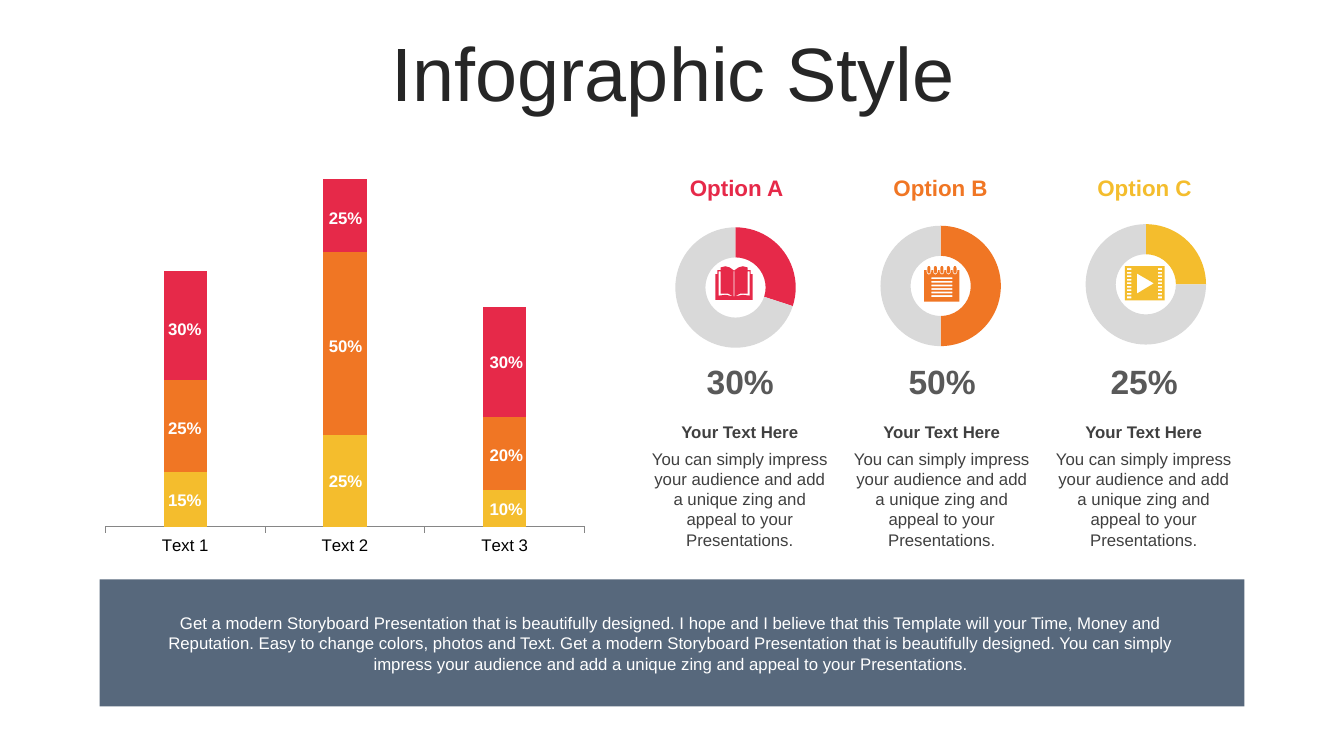
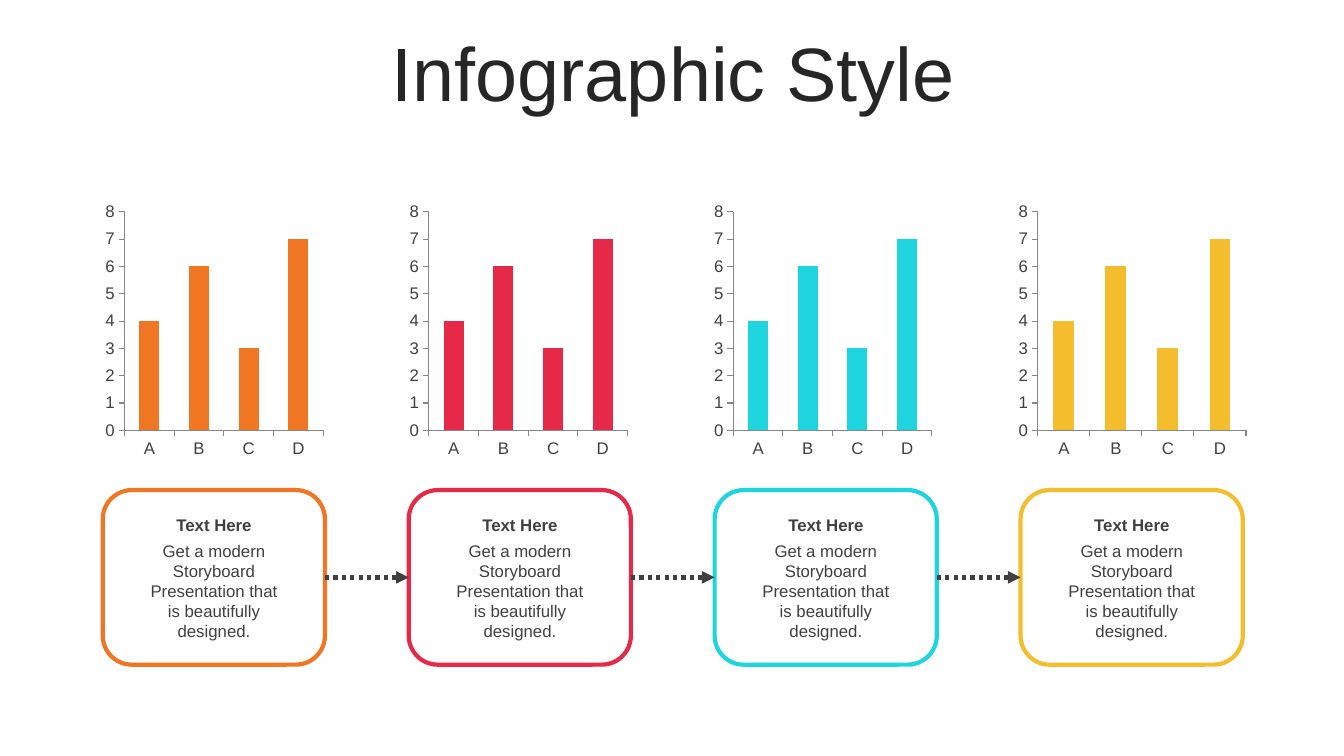
from lxml.etree import SubElement
from pptx import Presentation
from pptx.chart.data import CategoryChartData as Data
from pptx.dml.color import RGBColor
from pptx.enum.chart import XL_CHART_TYPE as Kind, XL_TICK_MARK as Tick
from pptx.enum.dml import MSO_LINE as Dash
from pptx.enum.shapes import MSO_CONNECTOR as Link, MSO_SHAPE as Form
from pptx.enum.text import MSO_ANCHOR as Anchor, PP_ALIGN as Align
from pptx.oxml.ns import qn
from pptx.util import Cm, Pt

FONT = "Arial"
RED, ORANGE, GOLD, CYAN = "E62949", "F07624", "F4BD2D", "1ED4DE"
WHITE, BLACK, DARK, INK, MID = "FFFFFF", "000000", "262626", "404040", "595959"
PALE, SLATE, AXIS = "D9D9D9", "57687C", "868686"
paint = RGBColor.from_string


def label(slide, text, left, top, width, height, size=12, color=INK, bold=False, anchor=Anchor.TOP):
    frame = slide.shapes.add_textbox(Cm(left), Cm(top), Cm(width), Cm(height)).text_frame
    frame.word_wrap = True
    frame.vertical_anchor = anchor
    frame.text = text
    para = frame.paragraphs[0]
    para.alignment = Align.CENTER
    font = para.runs[0].font
    font.name, font.size, font.bold = FONT, Pt(size), bold
    font.color.rgb = paint(color)
    return para


def graph(slide, kind, left, top, width, height, cats, rows, colors, ink=BLACK, plot=None):
    data = Data()
    data.categories = cats
    for n, row in enumerate(rows, 1):
        data.add_series(f"Series {n}", row)
    frame = slide.shapes.add_chart(kind, Cm(left), Cm(top), Cm(width), Cm(height), data)
    chart = frame.chart
    chart.has_legend = chart.has_title = False
    chart.font.name, chart.font.size = FONT, Pt(12)
    chart.font.color.rgb = paint(ink)
    series = chart.plots[0].series
    parts = series[0].points if kind == Kind.DOUGHNUT else series
    for n, color in enumerate(colors):
        fill = parts[n].format.fill
        fill.solid()
        fill.fore_color.rgb = paint(color)
    if kind == Kind.COLUMN_STACKED:
        chart.plots[0].vary_by_categories = False
        chart.plots[0].overlap = 100
        chart.value_axis.has_major_gridlines = False
        for axis in (chart.category_axis, chart.value_axis):
            axis.major_tick_mark, axis.minor_tick_mark = Tick.OUTSIDE, Tick.NONE
            axis.format.line.color.rgb = paint(AXIS)
            axis.format.line.width = Pt(0.75)
    if plot:
        area = chart.element.find(".//" + qn("c:plotArea"))
        for old in area.findall(qn("c:layout")):
            area.remove(old)
        outer = SubElement(area, qn("c:layout"))
        area.insert(0, outer)
        inner = SubElement(outer, qn("c:manualLayout"))
        SubElement(inner, qn("c:layoutTarget")).set("val", "inner")
        for tag in ("xMode", "yMode"):
            SubElement(inner, qn("c:" + tag)).set("val", "edge")
        for tag, part in zip("xywh", plot):
            SubElement(inner, qn("c:" + tag)).set("val", str(part))
    return chart


deck = Presentation()
deck.slide_width, deck.slide_height = Cm(33.87), Cm(19.05)
first, second = [deck.slides.add_slide(deck.slide_layouts[6]) for _ in range(2)]
for slide in (first, second):
    title = label(slide, "Infographic Style", 0.89, 0.94, 32.16, 2, 54, DARK, anchor=Anchor.MIDDLE)
    title.line_spacing = 0.9

stack = graph(first, Kind.COLUMN_STACKED, 2.13, 4.06, 13.13, 10.24,
              ["Text 1", "Text 2", "Text 3"],
              [(30, 50, 20), (50, 100, 40), (60, 40, 60)],
              [GOLD, ORANGE, RED], plot=(0.04, 0, 0.92, 0.9))
stack.plots[0].gap_width = 270
stack.value_axis.minimum_scale, stack.value_axis.maximum_scale = 0, 200
stack.value_axis.visible = False

shares = [
    [("30%", 7.9), ("25%", 10.41), ("15%", 12.22)],
    [("25%", 5.11), ("50%", 8.33), ("25%", 11.73)],
    [("30%", 8.74), ("20%", 11.07), ("10%", 12.45)],
]
for n, bar in enumerate(shares):
    for text, top in bar:
        label(first, text, 3.86 + 4.05 * n, top, 1.6, 0.76, color=WHITE, bold=True)

half = [(4.7, 1.1), (3.6, 0.3), (2.5, 0), (1.3, 0.3), (1.3, 1), (0.5, 1), (0.5, 2), (0, 2), (0, 8.5)]
strip = [(4.5, 7.6), (3.2, 6.9), (1.3, 6.9), (1.3, 1.3), (0.8, 1.3), (0.8, 7.4), (2.6, 7.2)]
book = [half + [(9.4 - x, y) for x, y in reversed(half)],
        strip, [(9.4 - x, y) for x, y in strip],
        [(4.6, 1.2), (4.8, 1.2), (4.8, 7.6), (4.6, 7.6)]]

rings = [1.2 + 1.64 * n for n in range(5)]
notch = [(-0.6, 1), (-0.6, 1.4), (-0.4, 1.9), (0, 2.1), (0.4, 1.9), (0.6, 1.4), (0.6, 1)]
loop = [(-0.2, 0), (0.2, 0), (0.4, 0.4), (0.4, 1.4), (0.2, 1.8), (-0.2, 1.8), (-0.4, 1.4), (-0.4, 0.4)]
pad = [[(0, 1)] + [(mid + x, y) for mid in rings for x, y in notch] + [(8.9, 1), (8.9, 8.9), (0, 8.9)]]
pad += [[(mid + x, y) for x, y in loop] for mid in rings]
lines = [(1.8, 2.8 + 0.9 * n, 5.3, 0.45) for n in range(6)]

film = [[(3, 1.8), (3, 6.9), (7.3, 4.3)]]
holes = [(x, 0.5 + 0.89 * n, 1.1, 0.45) for n in range(9) for x in (0.5, 8.3)]
for icon, boxes in ((pad, lines), (film, [(0, 0, 10, 8.6)] + holes)):
    icon += [[(x, y), (x + w, y), (x + w, y + h), (x, y + h)] for x, y, w, h in boxes]

options = [
    ("A", 30, RED, book, 18.03),
    ("B", 50, ORANGE, pad, 23.29),
    ("C", 25, GOLD, film, 28.35),
]
for n, (name, share, color, icon, left) in enumerate(options):
    graph(first, Kind.DOUGHNUT, 16.89 + 5.17 * n, 5.6 - 0.04 * n, 3.23, 3.23,
          ["1", "2"], [(share, 100 - share)], [color, PALE], plot=(0.04, 0.04, 0.98, 0.94))
    label(first, f"Option {name}", 16.48 + 5.14 * n, 4.27, 4.17, 0.94, 16, color, True)
    label(first, f"{share}%", 17.45 + 5.09 * n, 8.97, 2.41, 1.27, 24, MID, True, Anchor.MIDDLE)
    label(first, "Your Text Here", 16.13 + 5.09 * n, 10.49, 5.03, 0.76, bold=True)
    label(first, "You can simply impress your audience and add a unique zing and appeal to your Presentations.",
          16.13 + 5.09 * n, 11.18, 5.03, 2.82)
    pen = first.shapes.build_freeform(scale=Cm(1) / 1000)
    for path in icon:
        dots = [(x * 100, y * 100) for x, y in path]
        pen.move_to(*dots[0])
        pen.add_line_segments(dots[1:], close=True)
    sign = pen.convert_to_shape(Cm(left), Cm(6.71))
    sign.shadow.inherit = False
    sign.fill.solid()
    sign.fill.fore_color.rgb = paint(color)
    sign.line.fill.background()

band = first.shapes.add_shape(Form.RECTANGLE, Cm(2.51), Cm(14.6), Cm(28.85), Cm(3.2))
band.shadow.inherit = False
band.fill.solid()
band.fill.fore_color.rgb = paint(SLATE)
band.line.fill.background()
label(first, "Get a modern Storyboard Presentation that is beautifully designed. "
      "I hope and I believe that this Template will your Time, Money and Reputation. "
      "Easy to change colors, photos and Text. "
      "Get a modern Storyboard Presentation that is beautifully designed. "
      "You can simply impress your audience and add a unique zing and appeal to your Presentations.",
      3.51, 15.32, 26.8, 1.8, color=WHITE)

cards = []
for n, (color, width) in enumerate(zip((ORANGE, RED, CYAN, GOLD), (5.72, 5.72, 5.72, 5.97))):
    bars = graph(second, Kind.COLUMN_STACKED, 2.54 + 7.67 * n, 4.98, width, 6.7,
                 list("ABCD"), [(4, 6, 3, 7)], [color], INK)
    bars.plots[0].gap_width = 150
    bars.value_axis.minimum_scale, bars.value_axis.maximum_scale = 0, 8
    bars.value_axis.major_unit = 1
    left = 2.59 + 7.71 * n
    card = second.shapes.add_shape(Form.ROUNDED_RECTANGLE, Cm(left), Cm(12.35), Cm(5.6), Cm(4.4))
    card.shadow.inherit = False
    card.fill.solid()
    card.fill.fore_color.rgb = paint(WHITE)
    card.line.color.rgb = paint(color)
    card.line.width = Pt(3)
    cards.append(card)
    label(second, "Text Here", left + 0.9, 12.85, 3.81, 0.76, bold=True)
    label(second, "Get a modern Storyboard Presentation that is beautifully designed.",
          left + 0.9, 13.49, 3.81, 2.82)

for start, end in zip(cards, cards[1:]):
    arrow = second.shapes.add_connector(Link.STRAIGHT, 0, 0, 0, 0)
    arrow.begin_connect(start, 3)
    arrow.end_connect(end, 1)
    arrow.line.color.rgb = paint(INK)
    arrow.line.width = Pt(3)
    arrow.line.dash_style = Dash.ROUND_DOT
    props = arrow.element.spPr
    SubElement(props.find(qn("a:ln")), qn("a:tailEnd")).set("type", "triangle")
    SubElement(props, qn("a:effectLst"))

deck.save("out.pptx")
